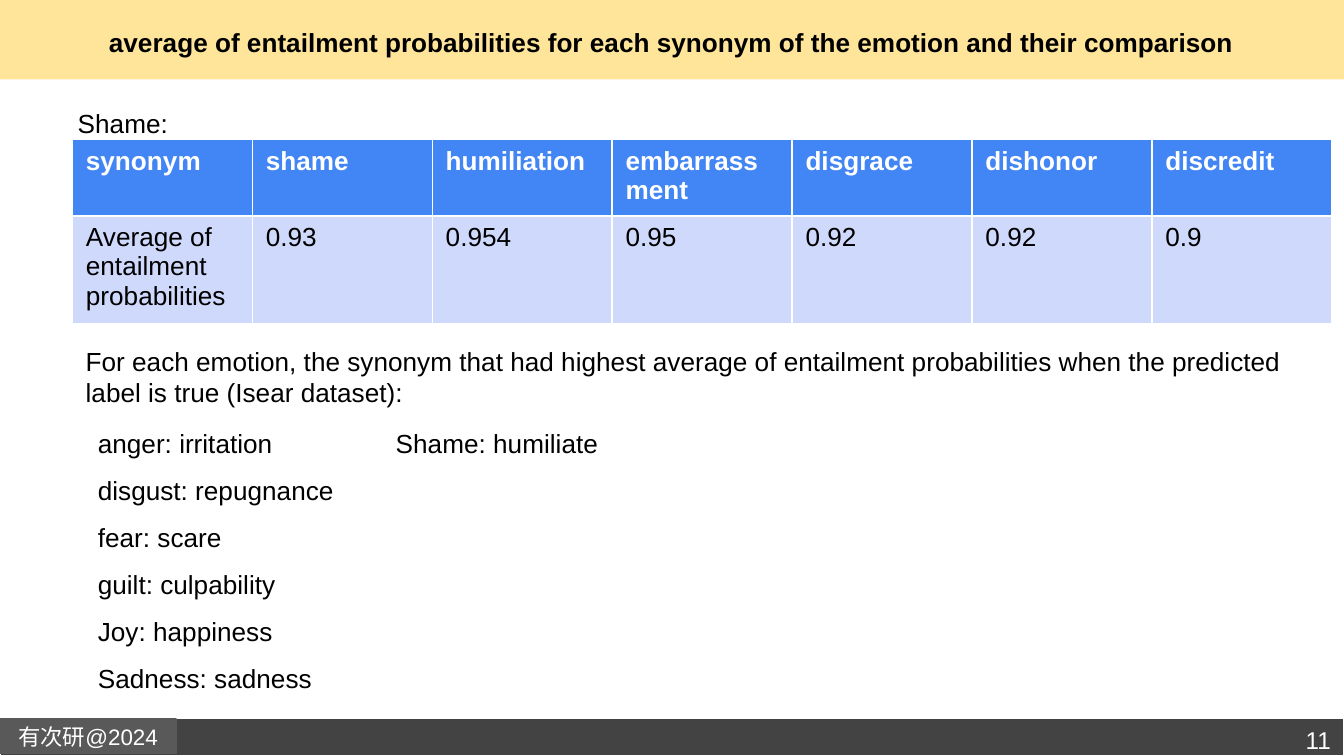
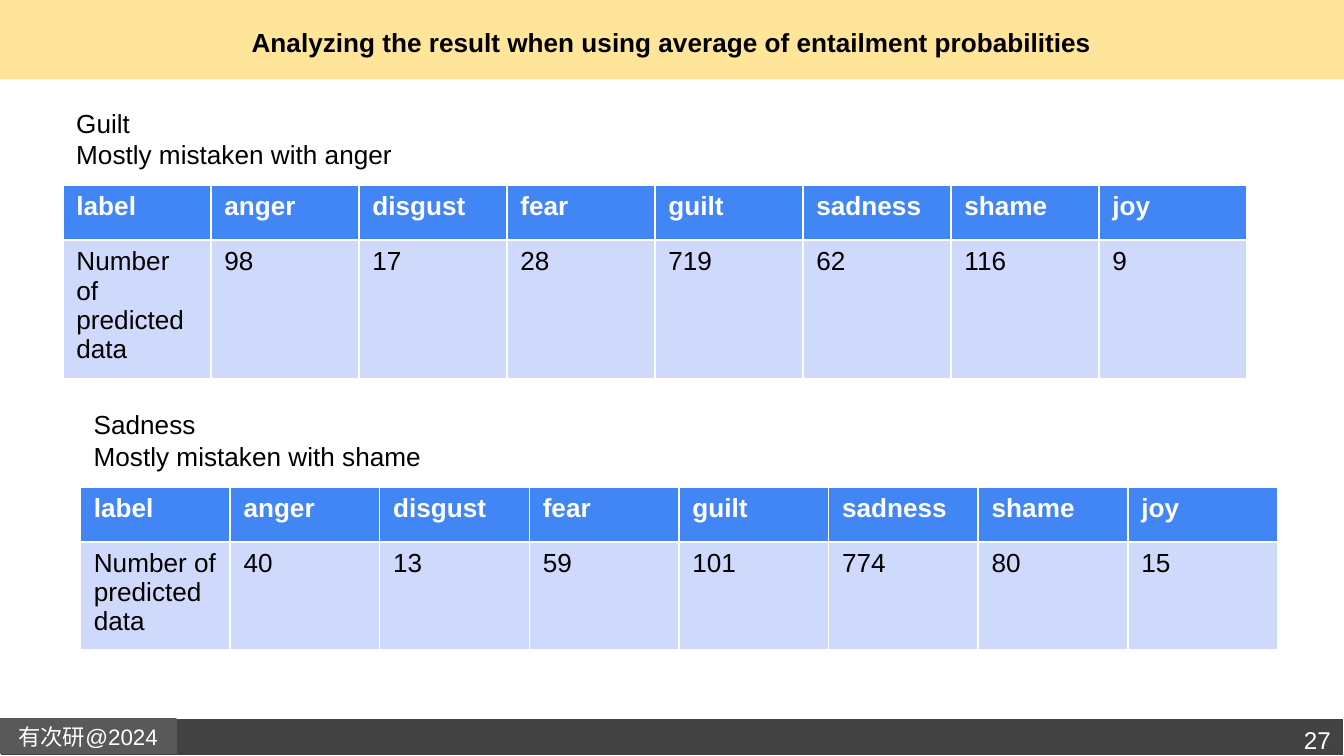
from lxml import etree
from pptx import Presentation
from pptx import util as u
from pptx.dml import color
from pptx.enum import shapes, text
from pptx.oxml import ns

Cm = u.Cm
BLACK, WHITE = "000000", "FFFFFF"
BAND, FOOTER, TAG = "FFE599", "434343", "595959"
HEAD_FILL, ROW_FILL = "4285F4", "CFD9FB"
LABELS = ["label", "anger", "disgust", "fear", "guilt", "sadness", "shame", "joy"]
PREDICTED = "Number of predicted data"
CENTER, RIGHT = text.PP_ALIGN.CENTER, text.PP_ALIGN.RIGHT
INSETS = ("margin_left", "margin_top", "margin_right", "margin_bottom")


def rgb(value):
    return color.RGBColor.from_string(value)


def write(frame, lines, ink=BLACK, size=14, bold=False, para_format=None, inset=None):
    frame.word_wrap = True
    if inset is not None:
        for side in INSETS:
            setattr(frame, side, Cm(inset))
    font_format = {"name": "Arial", "size": u.Pt(size), "bold": bold}
    for index, line in enumerate(lines):
        para = frame.paragraphs[0] if index == 0 else frame.add_paragraph()
        for name, value in (para_format or {}).items():
            setattr(para, name, value)
        span = para.add_run()
        span.text = line
        for name, value in font_format.items():
            setattr(span.font, name, value)
        span.font.color.rgb = rgb(ink)


# Content: places are left, top, width, height in cm
pages = [
    {
        "title": "average of entailment probabilities for each synonym "
                 "of the emotion and their comparison",
        "number": "11",
        "tables": [
            ((1.37, 2.64, 23.8, 3.48), 1.22, [
                ["synonym", "shame", "humiliation", "embarrassment",
                 "disgrace", "dishonor", "discredit"],
                ["Average of entailment probabilities",
                 "0.93", "0.954", "0.95", "0.92", "0.92", "0.9"],
            ]),
        ],
        "texts": [
            ((1.22, 1.9, 5.28, 0.86), 1, ["Shame:"]),
            ((1.37, 6.4, 23.16, 2.06), 1, [
                "For each emotion, the synonym that had highest average of entailment "
                "probabilities when the predicted label is true (Isear dataset):",
            ]),
            ((1.6, 7.65, 20.47, 6.25), 1.5, [
                "anger: irritation\tShame: humiliate",
                "disgust: repugnance",
                "fear: scare",
                "guilt: culpability",
                "Joy: happiness",
                "Sadness: sadness",
            ]),
        ],
    },
    {
        "title": "Analyzing the result when using average of entailment probabilities",
        "number": "27",
        "tables": [
            ((1.19, 3.5, 22.38, 3.66), 1.04,
             [LABELS, [PREDICTED, "98", "17", "28", "719", "62", "116", "9"]]),
            ((1.52, 9.2, 22.63, 3.07), 1.04,
             [LABELS, [PREDICTED, "40", "13", "59", "101", "774", "80", "15"]]),
        ],
        "texts": [
            ((1.19, 1.9, 8.84, 1.45), 1, ["Guilt", "Mostly mistaken with anger"]),
            ((1.52, 7.6, 7.87, 1.45), 1, ["Sadness", "Mostly mistaken with shame"]),
        ],
    },
]

deck = Presentation()
deck.slide_width, deck.slide_height = Cm(25.4), Cm(14.29)
layout = deck.slide_layouts[5]

for page_index, content in enumerate(pages):
    page = deck.slides.add_slide(layout)

    # Shared bands: drawn once, then moved to the back of the layout
    if page_index == 0:
        bands = [
            ((0, 0, 25.4, 1.5), BAND, None, None),
            ((0, 13.57, 25.4, 0.72), FOOTER, WHITE, None),
            ((0, 13.59, 3.33, 0.66), TAG, TAG, "有次研@2024"),
        ]
        for depth, (place, fill, line, label) in enumerate(bands):
            box = page.shapes.add_shape(shapes.MSO_SHAPE.RECTANGLE, *map(Cm, place))
            box.shadow.inherit = False
            box.fill.solid()
            box.fill.fore_color.rgb = rgb(fill)
            if line:
                box.line.color.rgb = rgb(line)
                box.line.width = u.Pt(0.75)
            else:
                box.line.fill.background()
            if label:
                box.text_frame.vertical_anchor = text.MSO_ANCHOR.MIDDLE
                write(box.text_frame, [label], WHITE, 12,
                      para_format={"alignment": CENTER}, inset=0.25)
            layout.shapes._spTree.insert(2 + depth, box._element)

    # Title
    title = page.shapes.title
    title.left, title.top, title.width, title.height = map(Cm, (0.86, 0, 23.67, 1.6))
    title.text_frame.auto_size = text.MSO_AUTO_SIZE.NONE
    title.text_frame.vertical_anchor = text.MSO_ANCHOR.MIDDLE
    write(title.text_frame, [content["title"]], bold=True,
          para_format={"alignment": CENTER}, inset=0.25)

    # Page number
    box = page.shapes.add_textbox(*map(Cm, (22.73, 13.46, 2.67, 0.94)))
    write(box.text_frame, [content["number"]], WHITE, 13,
          para_format={"alignment": RIGHT}, inset=0.25)

    # Tables: the default style supplies the white rules
    for place, row_height, rows in content["tables"]:
        holder = page.shapes.add_table(len(rows), len(rows[0]), *map(Cm, place))
        table = holder.table
        for row_index, values in enumerate(rows):
            table.rows[row_index].height = Cm(row_height)
            is_head = row_index == 0
            for column, value in enumerate(values):
                cell = table.cell(row_index, column)
                cell.fill.solid()
                cell.fill.fore_color.rgb = rgb(HEAD_FILL if is_head else ROW_FILL)
                write(cell.text_frame, [value], WHITE if is_head else BLACK, bold=is_head)
        holder.height = Cm(place[3])

    # Running text, with a tab stop where a line has two columns
    for place, spacing, lines in content["texts"]:
        box = page.shapes.add_textbox(*map(Cm, place))
        write(box.text_frame, lines, para_format={"line_spacing": spacing})
        for para in box.text_frame.paragraphs:
            if "\t" in para.text:
                tabs = etree.SubElement(para._p.get_or_add_pPr(), ns.qn("a:tabLst"))
                etree.SubElement(tabs, ns.qn("a:tab"), pos=str(Cm(5.63)), algn="l")

deck.save("out.pptx")
